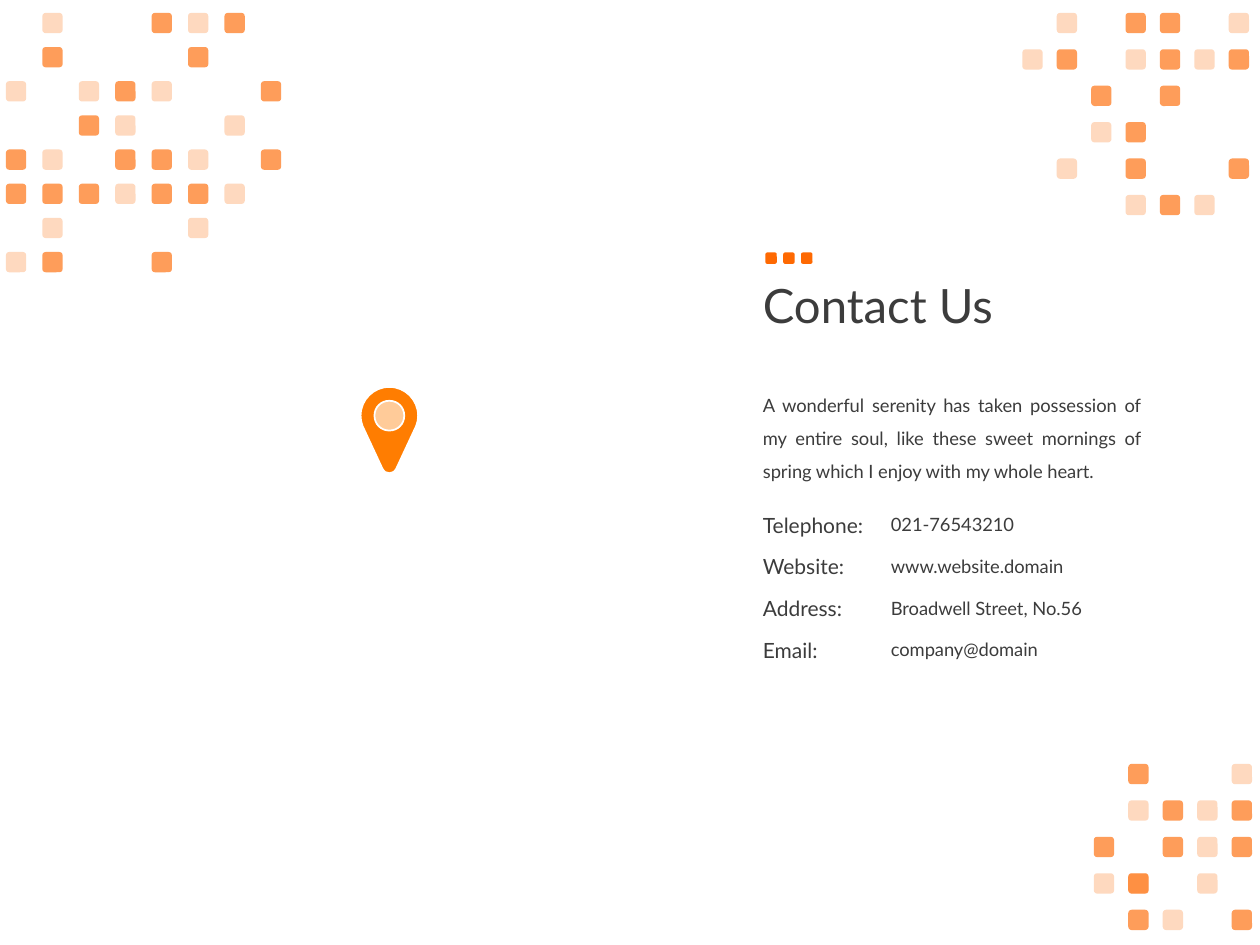
from dataclasses import dataclass

from lxml import etree
from pptx import Presentation
from pptx.dml.color import RGBColor
from pptx.enum.shapes import MSO_SHAPE
from pptx.enum.text import MSO_ANCHOR, MSO_AUTO_SIZE, PP_ALIGN
from pptx.oxml.ns import qn
from pptx.util import Cm, Pt

ROUNDED, ELLIPSE = MSO_SHAPE.ROUNDED_RECTANGLE, MSO_SHAPE.OVAL
MIDDLE, TOP = MSO_ANCHOR.MIDDLE, MSO_ANCHOR.TOP
JUSTIFY, LEFT = PP_ALIGN.JUSTIFY, PP_ALIGN.LEFT
FIT_SHAPE, NO_FIT = MSO_AUTO_SIZE.SHAPE_TO_FIT_TEXT, MSO_AUTO_SIZE.NONE


@dataclass(frozen=True)
class Theme:
    font: str = "Lato"
    ink: str = "3C3C3C"
    accent: str = "FE6902"
    pin: str = "FF7D01"
    pin_eye: str = "FFCB99"
    outline: str = "FFFFFF"
    title: float = 27
    label: float = 12
    body: float = 10.5
    tile: float = 0.41
    strong: int = 65
    light: int = 25


# Tile clusters: first and last column, first and last row, then the rows.
# D is a strong tile, L a light one, B a strong tile over a light one.
CLUSTERS = [
    (0.12, 5.26, 0.26, 5.08, [
        ".L..DLD.",
        ".D...D..",
        "L.LDL..D",
        "..DL..L.",
        "DL.DDL.D",
        "DDDLDDL.",
        ".L...L..",
        "LD..D...",
    ]),
    (20.61, 24.77, 0.26, 3.93, [
        ".L.DD.L",
        "LD.LDLD",
        "..D.D..",
        "..LD...",
        ".L.D..D",
        "...LDL.",
    ]),
    (22.05, 24.83, 15.4, 18.34, [
        ".D..L",
        ".LDLD",
        "D.DLD",
        "LB.L.",
        ".DL.D",
    ]),
]

# Start point, then three points for each curve, around the centre of the pin head.
PIN_BODY = [
    (0.54, 0.21),
    (0.14, 1.07), (0.14, 1.07), (0.14, 1.07),
    (0.1, 1.13), (0.07, 1.16), (0, 1.16),
    (-0.07, 1.16), (-0.1, 1.13), (-0.14, 1.07),
    (-0.54, 0.21), (-0.54, 0.21), (-0.54, 0.21),
    (-0.57, 0.14), (-0.58, 0.07), (-0.58, 0),
    (-0.58, -0.32), (-0.32, -0.58), (0, -0.58),
    (0.32, -0.58), (0.58, -0.32), (0.58, 0),
    (0.58, 0.07), (0.57, 0.14), (0.54, 0.21),
]
PIN_HOLE = [
    (0, -0.3),
    (-0.17, -0.3), (-0.3, -0.17), (-0.3, 0),
    (-0.3, 0.17), (-0.17, 0.3), (0, 0.3),
    (0.17, 0.3), (0.3, 0.17), (0.3, 0),
    (0.3, -0.17), (0.17, -0.3), (0, -0.3),
]

CONTACTS = [
    ("Telephone:", "021-76543210"),
    ("Website:", "www.website.domain"),
    ("Address:", "Broadwell Street, No.56"),
    ("Email:", "company@domain"),
]


def bend(freeform):
    """Turn each run of three line segments into one Bézier curve."""
    lines = list(freeform._element.iter(qn("a:lnTo")))
    for first in range(0, len(lines), 3):
        curve = etree.Element(qn("a:cubicBezTo"))
        lines[first].addprevious(curve)
        for line in lines[first:first + 3]:
            curve.append(line[0])
            line.getparent().remove(line)


class SlideBuilder:
    def __init__(self, slide, theme):
        self.slide = slide
        self.theme = theme

    def group(self):
        return self.slide.shapes.add_group_shape().shapes

    def paint(self, shape, fill, opacity=100, outlined=False):
        shape.shadow.inherit = False
        shape.fill.solid()
        shape.fill.fore_color.rgb = RGBColor.from_string(fill)
        if opacity < 100:
            color = shape.fill._xPr.find(qn("a:solidFill"))[0]
            etree.SubElement(color, qn("a:alpha"), val=str(opacity * 1000))
        if outlined:
            shape.line.color.rgb = RGBColor.from_string(self.theme.outline)
            shape.line.width = Pt(1)
        else:
            shape.line.fill.background()

    def square(self, shapes, kind, left, top, size, fill, **paint):
        shape = shapes.add_shape(kind, Cm(left), Cm(top), Cm(size), Cm(size))
        self.paint(shape, fill, **paint)

    def cluster(self, first_left, last_left, first_top, last_top, rows):
        theme = self.theme
        opacities = {"D": [theme.strong], "L": [theme.light],
                     "B": [theme.light, theme.strong], ".": []}
        column_step = (last_left - first_left) / (len(rows[0]) - 1)
        row_step = (last_top - first_top) / (len(rows) - 1)
        tiles = self.group()
        for row, marks in enumerate(rows):
            for column, mark in enumerate(marks):
                for opacity in opacities[mark]:
                    self.square(tiles, ROUNDED, first_left + column * column_step,
                                first_top + row * row_step, theme.tile, theme.accent,
                                opacity=opacity)

    def dots(self, left, top, size, step, count):
        dots = self.group()
        for i in range(count):
            self.square(dots, ROUNDED, left + i * step, top, size, self.theme.accent)

    def map_pin(self, x, y):
        """Pin whose round head is centred on x, y."""
        pin = self.group()
        eye = 0.66
        self.square(pin, ELLIPSE, x - eye / 2, y - eye / 2, eye,
                    self.theme.pin_eye, outlined=True)
        body, hole = ([(Cm(x + dx), Cm(y + dy)) for dx, dy in points]
                      for points in (PIN_BODY, PIN_HOLE))
        outline = pin.build_freeform(*body[0])
        outline.add_line_segments(body[1:], close=True)
        outline.move_to(*hole[0])
        outline.add_line_segments(hole[1:], close=True)
        marker = outline.convert_to_shape()
        bend(marker)
        self.paint(marker, self.theme.pin, outlined=True)

    def text(self, content, left, top, width, height, size, anchor=TOP,
             fit=FIT_SHAPE, align=LEFT, spacing=1.0):
        box = self.slide.shapes.add_textbox(Cm(left), Cm(top), Cm(width), Cm(height))
        frame = box.text_frame
        paragraph = frame.paragraphs[0]
        paragraph.text = content
        formats = [
            (frame, {"word_wrap": True, "auto_size": fit, "vertical_anchor": anchor}),
            (paragraph, {"alignment": align, "line_spacing": spacing}),
            (paragraph.runs[0].font, {"name": self.theme.font, "size": Pt(size)}),
        ]
        for target, values in formats:
            for name, value in values.items():
                setattr(target, name, value)
        paragraph.runs[0].font.color.rgb = RGBColor.from_string(self.theme.ink)


def main():
    presentation = Presentation()
    presentation.slide_width, presentation.slide_height = Cm(25.4), Cm(19.05)
    theme = Theme()
    slide = presentation.slides.add_slide(presentation.slide_layouts[6])
    builder = SlideBuilder(slide, theme)

    for cluster in CLUSTERS:
        builder.cluster(*cluster)
    builder.map_pin(7.85, 8.38)

    text_left = 15.13
    builder.dots(15.43, 5.09, 0.23, 0.36, 3)
    builder.text("Contact Us", text_left, 4.37, 21.89, 3.68, theme.title,
                 anchor=MIDDLE, fit=NO_FIT, spacing=0.9)
    builder.text("A wonderful serenity has taken possession of my entire soul, "
                 "like these sweet mornings of spring which I enjoy with my whole heart.",
                 text_left, 7.6, 8.13, 2.18, theme.body, align=JUSTIFY, spacing=1.5)
    for i, (label, value) in enumerate(CONTACTS):
        top = 10.2 + i * 0.84
        builder.text(label, text_left, top, 3.96, 0.76, theme.label)
        builder.text(value, 17.71, top + 0.03, 4.9, 0.71, theme.body)

    presentation.save("out.pptx")


if __name__ == "__main__":
    main()
